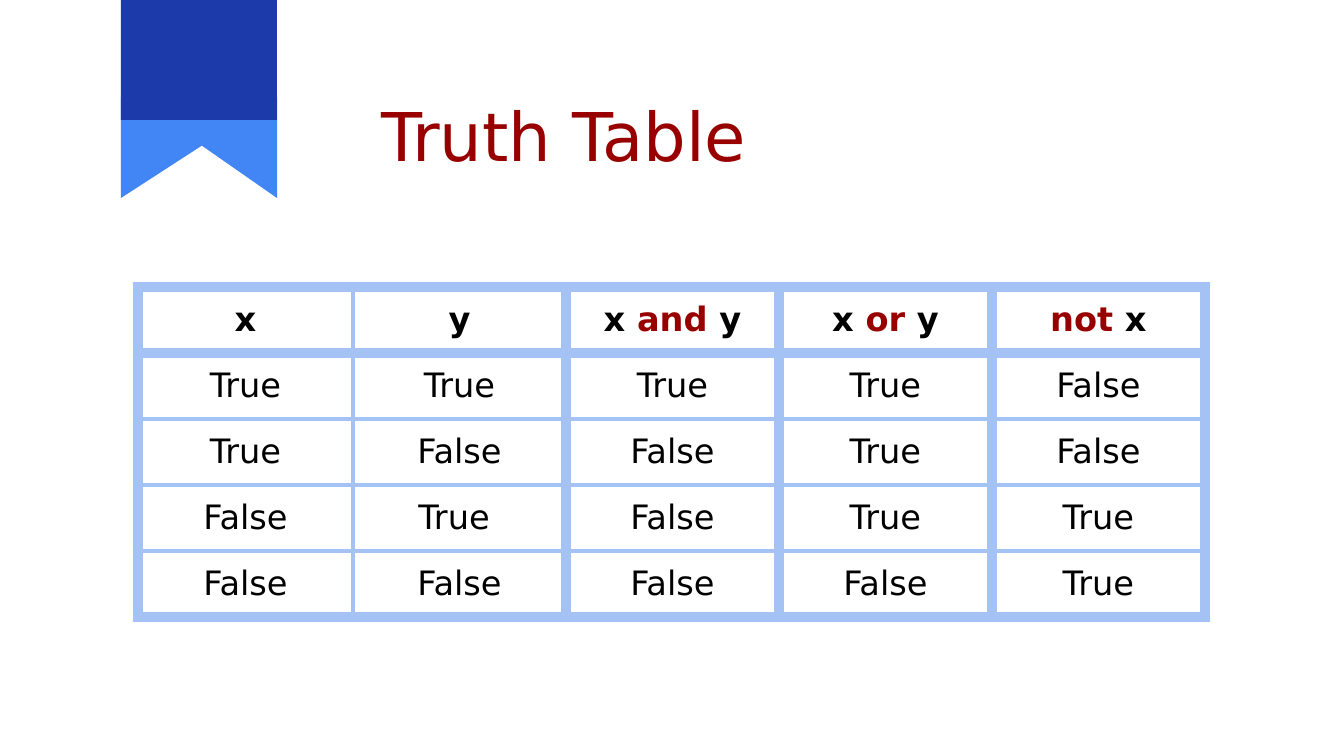
from lxml import etree
from pptx import Presentation
from pptx.dml.color import RGBColor
from pptx.enum.shapes import MSO_SHAPE
from pptx.enum.text import MSO_ANCHOR, PP_ALIGN
from pptx.oxml.ns import qn
from pptx.util import Emu, Pt

PX = 914400 / 134.4
RECTANGLE = MSO_SHAPE.RECTANGLE
RIGHT_TRIANGLE = MSO_SHAPE.RIGHT_TRIANGLE
MIDDLE, BOTTOM = MSO_ANCHOR.MIDDLE, MSO_ANCHOR.BOTTOM
LEFT, CENTER = PP_ALIGN.LEFT, PP_ALIGN.CENTER
FONT = "DejaVu Sans"
COLORS = {
    "navy": "1C3AA9",
    "blue": "4285F4",
    "grid": "A4C2F4",
    "red": "980000",
    "black": "000000",
}
THICK, THIN = 6, 2.25
PADDING = 13

HEADINGS = [
    [("x", "black")],
    [("y", "black")],
    [("x ", "black"), ("and ", "red"), ("y", "black")],
    [("x ", "black"), ("or ", "red"), ("y", "black")],
    [("not ", "red"), ("x", "black")],
]
OUTCOMES = [
    ["True", "True", "True", "True", "False"],
    ["True", "False", "False", "True", "False"],
    ["False", "True ", "False", "True", "True"],
    ["False", "False", "False", "False", "True"],
]
COLUMN_WIDTHS = [215, 213, 213, 213, 213]
ROW_HEIGHT = 66
COLUMN_RULES = [THICK, THIN, THICK, THICK, THICK, THICK]
ROW_RULES = [THICK, THICK, THIN, THIN, THIN, THICK]


def px(length):
    return Emu(round(length * PX))


class SlideBuilder:
    def __init__(self, slide):
        self.slide = slide

    def add_runs(self, paragraph, runs, size, align, bold=False):
        paragraph.alignment = align
        for text, color in runs:
            run = paragraph.add_run()
            run.text = text
            run.font.name = FONT
            run.font.size = Pt(size)
            run.font.bold = bold
            run.font.color.rgb = RGBColor.from_string(COLORS[color])

    def pad(self, holder):
        holder.margin_left = holder.margin_right = px(PADDING)
        holder.margin_top = holder.margin_bottom = px(PADDING)

    def title(self, text, left, top, width, height):
        title = self.slide.shapes.title
        title.left, title.top = px(left), px(top)
        title.width, title.height = px(width), px(height)
        frame = title.text_frame
        frame.word_wrap = True
        frame.vertical_anchor = BOTTOM
        self.pad(frame)
        self.add_runs(frame.paragraphs[0], [(text, "red")], 36, LEFT)

    def shape(self, kind, color, left, top, width, height, rotation=0, flip=False):
        shape = self.slide.shapes.add_shape(
            kind, px(left), px(top), px(width), px(height)
        )
        shape.shadow.inherit = False
        shape.fill.solid()
        shape.fill.fore_color.rgb = RGBColor.from_string(COLORS[color])
        shape.line.fill.background()
        shape.rotation = rotation
        if flip:
            shape._element.spPr.find(qn("a:xfrm")).set("flipH", "1")

    def border(self, cell, side, points):
        properties = cell._tc.get_or_add_tcPr()
        line = etree.SubElement(properties, qn(f"a:ln{side}"), w=str(Pt(points)))
        fill = etree.SubElement(line, qn("a:solidFill"))
        etree.SubElement(fill, qn("a:srgbClr"), val=COLORS["grid"])

    def cell(self, cell, row, column, runs):
        cell.vertical_anchor = MIDDLE
        self.pad(cell)
        self.add_runs(cell.text_frame.paragraphs[0], runs, 18, CENTER, bold=row == 0)
        self.border(cell, "L", COLUMN_RULES[column])
        self.border(cell, "R", COLUMN_RULES[column + 1])
        self.border(cell, "T", ROW_RULES[row])
        self.border(cell, "B", ROW_RULES[row + 1])
        cell.fill.background()

    def table(self, rows, left, top):
        table = self.slide.shapes.add_table(
            len(rows), len(COLUMN_WIDTHS), px(left), px(top),
            px(sum(COLUMN_WIDTHS)), px(ROW_HEIGHT * len(rows)),
        ).table
        table.first_row = table.horz_banding = False
        for column, width in zip(table.columns, COLUMN_WIDTHS):
            column.width = px(width)
        for r, entries in enumerate(rows):
            table.rows[r].height = px(ROW_HEIGHT)
            for c, runs in enumerate(entries):
                self.cell(table.cell(r, c), r, c, runs)


def main():
    presentation = Presentation()
    presentation.slide_width, presentation.slide_height = px(1344), px(756)
    builder = SlideBuilder(presentation.slides.add_slide(presentation.slide_layouts[5]))

    builder.shape(RIGHT_TRIANGLE, "blue", 121, 97, 156, 101, rotation=180, flip=True)
    builder.shape(RIGHT_TRIANGLE, "blue", 132, 97, 145, 101, rotation=180)
    builder.shape(RECTANGLE, "navy", 121, 0, 156, 120)
    builder.title("Truth Table", 368, 42, 860, 146)

    outcomes = [[[(value, "black")] for value in row] for row in OUTCOMES]
    builder.table([HEADINGS] + outcomes, 138, 287)

    presentation.save("out.pptx")


if __name__ == "__main__":
    main()
